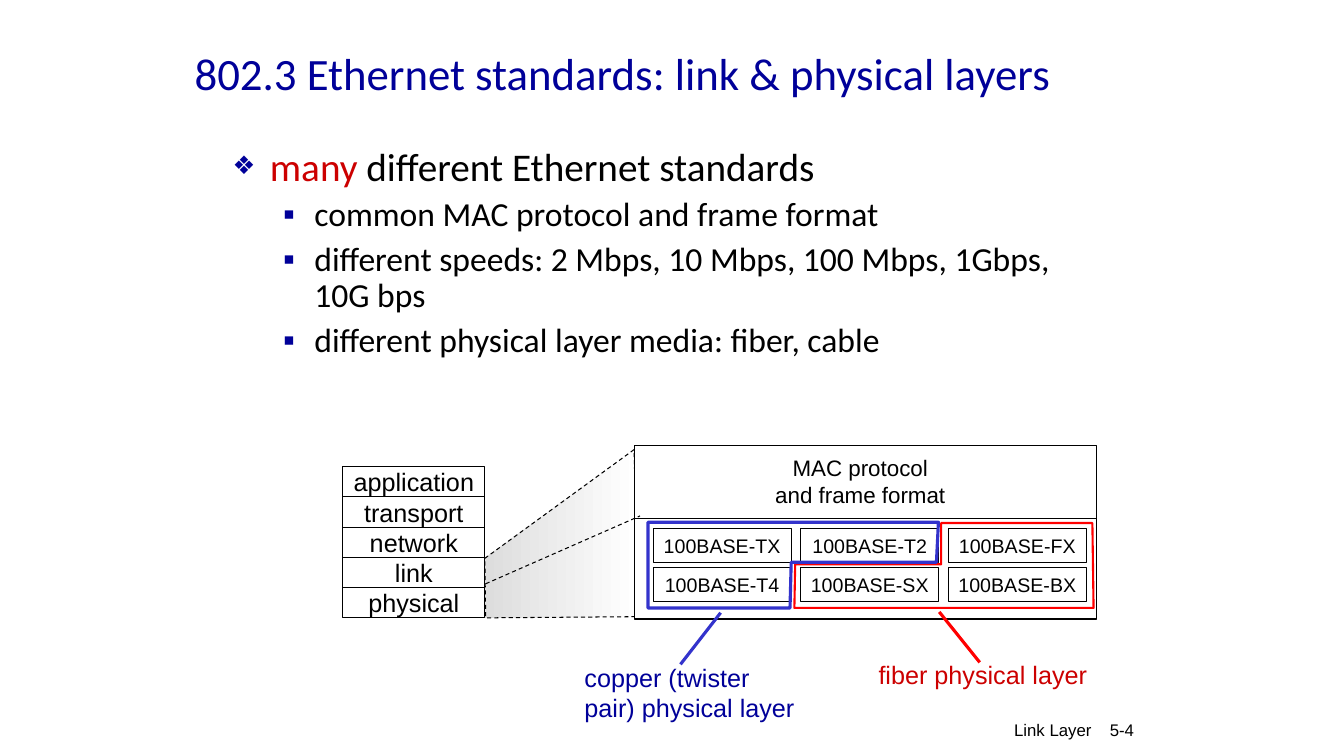
from dataclasses import dataclass
from lxml.etree import SubElement
from pptx import Presentation
from pptx.dml.color import RGBColor
from pptx.enum.dml import MSO_LINE
from pptx.enum.shapes import MSO_CONNECTOR, MSO_SHAPE
from pptx.enum.text import MSO_ANCHOR, MSO_AUTO_SIZE, PP_ALIGN
from pptx.oxml.ns import qn
from pptx.util import Cm, Pt


@dataclass(frozen=True)
class Theme:
    black: str = "000000"
    white: str = "FFFFFF"
    gray: str = "DDDDDD"
    navy: str = "000099"
    blue: str = "3333CC"
    red: str = "FF0000"
    dark: str = "CC0000"
    head: str = "Calibri"
    sans: str = "Arial"
    title: int = 32
    point: int = 28
    sub: int = 24
    label: int = 18
    mac: int = 16
    cell: int = 14
    foot: int = 12
    thin: float = 0.75
    mid: float = 1.5
    thick: float = 2.25


THEME = Theme()


def rgb(code):
    return RGBColor.from_string(code)


def add_run(para, text, size, color, font=THEME.sans):
    run = para.add_run()
    run.text = text
    run.font.size = Pt(size)
    run.font.name = font
    run.font.color.rgb = rgb(color)


def write(frame, lines, size, color, align=PP_ALIGN.CENTER):
    for i, line in enumerate(lines):
        para = frame.add_paragraph() if i else frame.paragraphs[0]
        para.alignment = align
        add_run(para, line, size, color)


def add_text(slide, box, lines, size, color, align=PP_ALIGN.LEFT):
    frame = slide.shapes.add_textbox(*map(Cm, box)).text_frame
    frame.word_wrap = True
    write(frame, lines, size, color, align)


def set_line(shape, color, width, dash=False):
    shape.line.color.rgb = rgb(color)
    shape.line.width = Pt(width)
    if dash:
        shape.line.dash_style = MSO_LINE.DASH


def add_rect(slide, box, fill=None):
    rect = slide.shapes.add_shape(MSO_SHAPE.RECTANGLE, *map(Cm, box))
    rect.shadow.inherit = False
    if fill:
        rect.fill.solid()
        rect.fill.fore_color.rgb = rgb(fill)
    else:
        rect.fill.background()
    set_line(rect, THEME.black, THEME.thin)
    frame = rect.text_frame
    frame.word_wrap = False
    frame.vertical_anchor = MSO_ANCHOR.MIDDLE
    frame.margin_top = frame.margin_bottom = 0
    return rect


def add_line(slide, start, end, color=THEME.black, width=THEME.thin, dash=False):
    line = slide.shapes.add_connector(MSO_CONNECTOR.STRAIGHT, *map(Cm, (*start, *end)))
    SubElement(line._element.spPr, qn("a:effectLst"))
    set_line(line, color, width, dash)


def add_shape(slide, box, points, color, width, dash=False):
    spots = [(Cm(box[0] + x), Cm(box[1] + y)) for x, y in points]
    maker = slide.shapes.build_freeform(*spots[0], scale=1.0)
    maker.add_line_segments(spots[1:], close=True)
    shape = maker.convert_to_shape()
    shape.shadow.inherit = False
    shape.fill.background()
    set_line(shape, color, width, dash)
    return shape


def place(holder, box):
    holder.left, holder.top, holder.width, holder.height = map(Cm, box)
    holder.text_frame.auto_size = MSO_AUTO_SIZE.NONE
    return holder.text_frame


def add_title(slide, box, text):
    frame = place(slide.shapes.title, box)
    frame.vertical_anchor = MSO_ANCHOR.MIDDLE
    para = frame.paragraphs[0]
    para.alignment = PP_ALIGN.LEFT
    add_run(para, text, THEME.title, THEME.navy, THEME.head)


def add_mark(para, mark, left, hang, percent):
    props = para._p.get_or_add_pPr()
    props.set("marL", str(Cm(left)))
    props.set("indent", str(-Cm(hang)))
    color = SubElement(props, qn("a:buClr"))
    SubElement(color, qn("a:srgbClr"), val=THEME.navy)
    SubElement(props, qn("a:buSzPct"), val=str(percent * 1000))
    SubElement(props, qn("a:buChar"), char=mark)


def add_list(slide, box, lead, rest, points):
    frame = place(slide.placeholders[1], box)
    para = frame.paragraphs[0]
    para.line_spacing, para.space_before = 0.9, Pt(7)
    add_mark(para, "❖", 0.94, 0.94, 65)
    add_run(para, lead, THEME.point, THEME.dark, THEME.head)
    add_run(para, rest, THEME.point, THEME.black, THEME.head)
    for point in points:
        para = frame.add_paragraph()
        para.level = 1
        para.line_spacing, para.space_before = 0.9, Pt(6)
        add_mark(para, "▪", 2.06, 0.79, 100)
        add_run(para, point, THEME.sub, THEME.black, THEME.head)


def add_stack(slide, box, layers):
    left, top, width, height = box
    rect = add_rect(slide, box, THEME.white)
    write(rect.text_frame, layers, THEME.label, THEME.black)
    step = height / len(layers)
    for i in range(1, len(layers)):
        y = top + i * step
        add_line(slide, (left, y), (left + width, y))


def add_beam(slide, box):
    width, height = box[2:]
    points = [(width - 0.1, 0), (0, 2.74), (0.02, height), (width, height - 0.03)]
    beam = add_shape(slide, box, points, THEME.black, THEME.thin, True)
    beam.fill.gradient()
    beam.fill.gradient_angle = 180
    for stop, color in zip(beam.fill.gradient_stops, (THEME.white, THEME.gray)):
        stop.color.rgb = rgb(color)


def add_detail(slide, box, grid):
    left, top, width, height = box
    add_rect(slide, box, THEME.white)
    add_line(slide, (left, top + 1.84), (left + width, top + 1.84))
    add_text(slide, (left + 3.27, top + 0.1, 4.86, 1.63),
             ["MAC protocol", "and frame format"],
             THEME.mac, THEME.black, PP_ALIGN.CENTER)
    for row, names in enumerate(grid):
        for col, name in enumerate(names):
            spot = (left + 0.48 + col * 3.72, top + 2.08 + row * 1, 3.48, 0.86)
            write(add_rect(slide, spot).text_frame, [name], THEME.cell, THEME.black)


def add_group(slide, box, points, color, width, start, end, note, lines, ink):
    left, top = box[:2]
    add_shape(slide, box, points, color, width)
    add_line(slide, (left + start[0], top + start[1]),
             (left + end[0], top + end[1]), color, THEME.thick)
    x, y, wide, high = note
    add_text(slide, (left + x, top + y, wide, high), lines, THEME.label, ink)


def add_foot(slide, box, name, page):
    left, top, width, height = box
    for text, right in ((name, width - 1.07), (page, width)):
        add_text(slide, (left, top, right, height), [text],
                 THEME.foot, THEME.black, PP_ALIGN.RIGHT)


def main():
    deck = Presentation()
    deck.slide_width, deck.slide_height = Cm(33.87), Cm(19.05)
    slide = deck.slides.add_slide(deck.slide_layouts[1])
    detail = (15.98, 11.23, 11.66, 4.37)
    add_foot(slide, (19.71, 18.01, 9.12, 1), "Link Layer", "5-4")
    add_title(slide, (4.65, 0.25, 24.21, 3.18),
              "802.3 Ethernet standards: link & physical layers")
    add_list(slide, (5.61, 3.58, 21.59, 5.84), "many ", "different Ethernet standards",
             ["common MAC protocol and frame format",
              "different speeds: 2 Mbps, 10 Mbps, 100 Mbps, 1Gbps, 10G bps",
              "different physical layer media: fiber, cable"])
    add_beam(slide, (12.22, 11.33, 3.86, 4.24))
    add_stack(slide, (8.64, 11.76, 3.58, 3.81),
              ["application", "transport", "network", "link", "physical"])
    add_detail(slide, detail, [["100BASE-TX", "100BASE-T2", "100BASE-FX"],
                               ["100BASE-T4", "100BASE-SX", "100BASE-BX"]])
    add_line(slide, (12.24, 14.71), (16.13, 13), dash=True)
    add_group(slide, detail,
              [(7.74, 1.95), (7.74, 2.99), (4.06, 2.99), (4.04, 4.09),
               (11.58, 4.09), (11.55, 1.95)],
              THEME.red, THEME.mid, (7.69, 4.19), (8.71, 5.46),
              (5.91, 5.25, 5.82, 1.04), ["fiber physical layer"], THEME.dark)
    add_group(slide, detail,
              [(7.67, 1.93), (7.62, 2.94), (3.96, 2.94), (3.93, 4.09),
               (0.35, 4.09), (0.35, 1.93)],
              THEME.blue, THEME.thick, (2.18, 4.21), (1.17, 5.51),
              (-1.5, 5.33, 5.84, 1.8), ["copper (twister", "pair) physical layer"],
              THEME.navy)
    deck.save("out.pptx")


if __name__ == "__main__":
    main()
